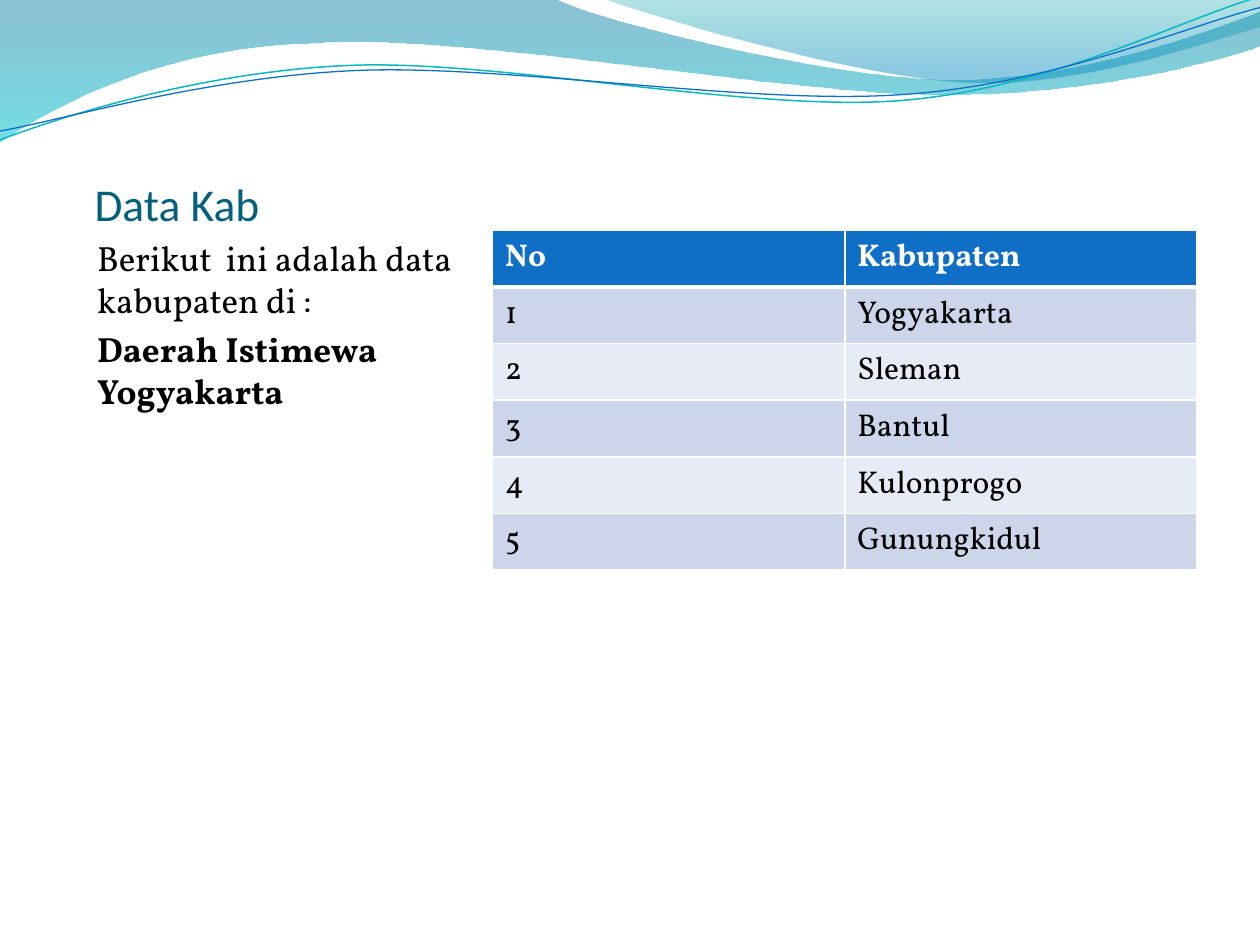
from lxml import etree
from pptx import Presentation
from pptx.dml.color import RGBColor
from pptx.enum.text import MSO_ANCHOR, MSO_AUTO_SIZE, PP_ALIGN
from pptx.oxml.ns import qn
from pptx.util import Inches, Pt

LEFT = PP_ALIGN.LEFT
TOP, BOTTOM = MSO_ANCHOR.TOP, MSO_ANCHOR.BOTTOM
NO_AUTOFIT = MSO_AUTO_SIZE.NONE

COLORS = {
    "title": "04617B", "text": "000000", "white": "FFFFFF",
    "header": "0F6FC6", "odd row": "CCD5EA", "even row": "E7EBF5",
    "teal line": "0AB8BF", "blue line": "0F6FC6",
    "deep blue": "0074A1", "cyan": "00C6CF",
    "green": "00A1A9", "sky": "008BBF",
}
HEADING_FONT, BODY_FONT = "Calibri", "Vollkorn"
MARGIN, CONTENT_TOP = 0.75, 1.83
TEXT_WIDTH = 3
TABLE_LEFT, TABLE_WIDTH, ROW_HEIGHT = 3.91, 5.59, 0.41

# Each wave is a start point followed by line ends (2 numbers)
# and Bézier segments (6 numbers), in inches.
LEFT_WAVE = [
    (0, 0), (4.4, -0.01), (4.76, 0.17, 6.64, 0.63, 7.58, 0.63),
    (8.53, 0.63, 9.58, 0.26, 10, 0.09), (10.01, 0.36),
    (9.83, 0.44, 8.7, 0.76, 7.46, 0.75), (6.22, 0.75, 3.82, 0.28, 2.57, 0.34),
    (1.29, 0.36, 0.46, 0.83, -0.01, 1.13), (0, 0),
]
RIGHT_WAVE = [
    (4.79, -0.01), (5.09, 0.11, 6.82, 0.62, 7.69, 0.65),
    (8.56, 0.69, 9.61, 0.32, 10, 0.21), (10, 0), (4.79, -0.01),
]
TEAL_CURVE = [
    (0, 1.11), (0.48, 0.93, 1.58, 0.57, 2.77, 0.52),
    (3.95, 0.47, 5.93, 0.89, 7.13, 0.8), (8.33, 0.71, 9.38, 0.15, 9.98, -0.02),
]
BLUE_CURVE = [
    (0, 1.04), (0.47, 0.96, 1.64, 0.61, 2.83, 0.56),
    (4.03, 0.51, 5.97, 0.84, 7.17, 0.75), (8.36, 0.67, 9.41, 0.21, 10, 0.06),
]
ROWS = [("No", "Kabupaten"), ("1", "Yogyakarta"), ("2", "Sleman"),
        ("3", "Bantul"), ("4", "Kulonprogo"), ("5", "Gunungkidul")]


def color(name):
    return RGBColor.from_string(COLORS[name])


def add_outline(slide, segments, close):
    """Build a freeform through all points, then bend the Bézier segments."""
    points = [(Inches(x), Inches(y)) for segment in segments
              for x, y in zip(segment[::2], segment[1::2])]
    builder = slide.shapes.build_freeform(*points[0])
    builder.add_line_segments(points[1:], close=close)
    shape = builder.convert_to_shape()
    shape.shadow.inherit = False
    lines = iter(list(shape._element.iter(qn("a:lnTo"))))
    for segment in segments[1:]:
        first = next(lines)
        if len(segment) == 6:
            curve = etree.Element(qn("a:cubicBezTo"))
            first.addprevious(curve)
            for line in (first, next(lines), next(lines)):
                curve.append(line[0])
                line.getparent().remove(line)
    return shape


def add_wave(slide, segments, stops):
    """Add a wave filled downwards; each stop is position, colour, opacity in %."""
    shape = add_outline(slide, segments, close=True)
    shape.line.fill.background()
    shape.fill.gradient()
    shape.fill.gradient_angle = 270
    for stop, (position, name, opacity) in zip(shape.fill.gradient_stops, stops):
        stop.position = position
        stop.color.rgb = color(name)
    fills = shape._element.spPr.iter(qn("a:srgbClr"))
    for fill, (position, name, opacity) in zip(fills, stops):
        etree.SubElement(fill, qn("a:alpha"), val=str(opacity * 1000))


def add_curve(slide, segments, name, width):
    shape = add_outline(slide, segments, close=False)
    shape.fill.background()
    shape.line.color.rgb = color(name)
    shape.line.width = Pt(width)


def style_paragraph(paragraph, font, size, color_name, bold=False):
    paragraph.alignment = LEFT
    paragraph.font.name = font
    paragraph.font.size = Pt(size)
    paragraph.font.bold = bold
    paragraph.font.color.rgb = color(color_name)


def place_placeholder(slide, placeholder, top, height, side_inset, anchor):
    """Position a placeholder in the left column, in front of the waves."""
    slide.shapes._spTree.append(placeholder._element)
    placeholder.left, placeholder.top = Inches(MARGIN), Inches(top)
    placeholder.width, placeholder.height = Inches(TEXT_WIDTH), Inches(height)
    frame = placeholder.text_frame
    frame.word_wrap = True
    frame.auto_size = NO_AUTOFIT
    frame.vertical_anchor = anchor
    frame.margin_left = frame.margin_right = Inches(side_inset)
    frame.margin_top = Inches(0.05)
    frame.margin_bottom = Inches(0.05 if side_inset else 0)
    return frame


def add_title(slide, text):
    frame = place_placeholder(slide, slide.shapes.title, 0.56, 1.27, 0, BOTTOM)
    frame.text = text
    style_paragraph(frame.paragraphs[0], HEADING_FONT, 26, "title")


def add_description(slide, placeholder, lines):
    frame = place_placeholder(slide, placeholder, CONTENT_TOP, 5, 0.02, TOP)
    frame.text = "\n".join(text for text, bold in lines)
    for paragraph, (text, bold) in zip(frame.paragraphs, lines):
        style_paragraph(paragraph, BODY_FONT, 20, "text", bold)
        paragraph.space_before = Pt(4)


def set_borders(cell, widths):
    properties = cell._tc.get_or_add_tcPr()
    for side, width in zip("LRTB", widths):
        line = etree.SubElement(properties, qn(f"a:ln{side}"), w=str(Pt(width)))
        fill = etree.SubElement(line, qn("a:solidFill"))
        etree.SubElement(fill, qn("a:srgbClr"), val=COLORS["white"])


def add_table(slide, rows):
    table = slide.shapes.add_table(
        len(rows), len(rows[0]), Inches(TABLE_LEFT), Inches(CONTENT_TOP),
        Inches(TABLE_WIDTH), Inches(ROW_HEIGHT * len(rows))).table
    for row_index, row in enumerate(rows):
        header = row_index == 0
        fill_name = "header" if header else "odd row" if row_index % 2 else "even row"
        widths = (1, 1, 3 if row_index == 1 else 1, 3 if header else 1)
        for column_index, text in enumerate(row):
            cell = table.cell(row_index, column_index)
            cell.text = text
            set_borders(cell, widths)
            cell.fill.solid()
            cell.fill.fore_color.rgb = color(fill_name)
            style_paragraph(cell.text_frame.paragraphs[0], BODY_FONT, 18,
                            "white" if header else "text", header)


def main():
    presentation = Presentation()
    presentation.slide_width, presentation.slide_height = Inches(10), Inches(7.5)
    caption_layout = presentation.slide_layouts[7]
    slide = presentation.slides.add_slide(caption_layout)
    title, content, description = slide.placeholders
    content._element.getparent().remove(content._element)

    add_wave(slide, LEFT_WAVE, [(0, "deep blue", 45), (1, "cyan", 55)])
    add_wave(slide, RIGHT_WAVE, [(0, "green", 30), (0.8, "sky", 45)])
    add_curve(slide, TEAL_CURVE, "teal line", 0.85)
    add_curve(slide, BLUE_CURVE, "blue line", 0.75)
    add_title(slide, "Data Kab")
    add_description(slide, description, [
        ("Berikut  ini adalah data kabupaten di :", False),
        ("Daerah Istimewa Yogyakarta", True),
    ])
    add_table(slide, ROWS)
    presentation.save("out.pptx")


if __name__ == "__main__":
    main()
